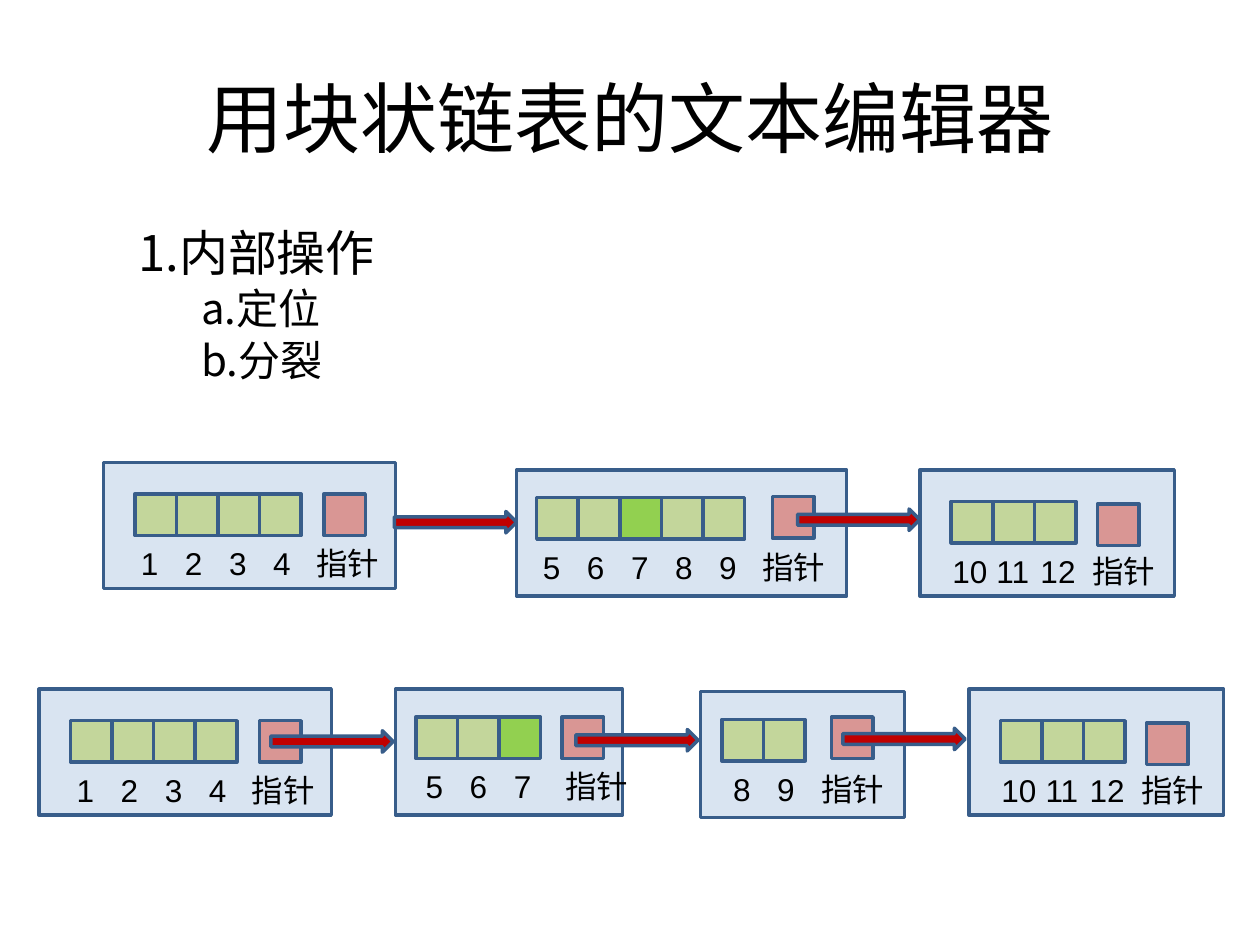
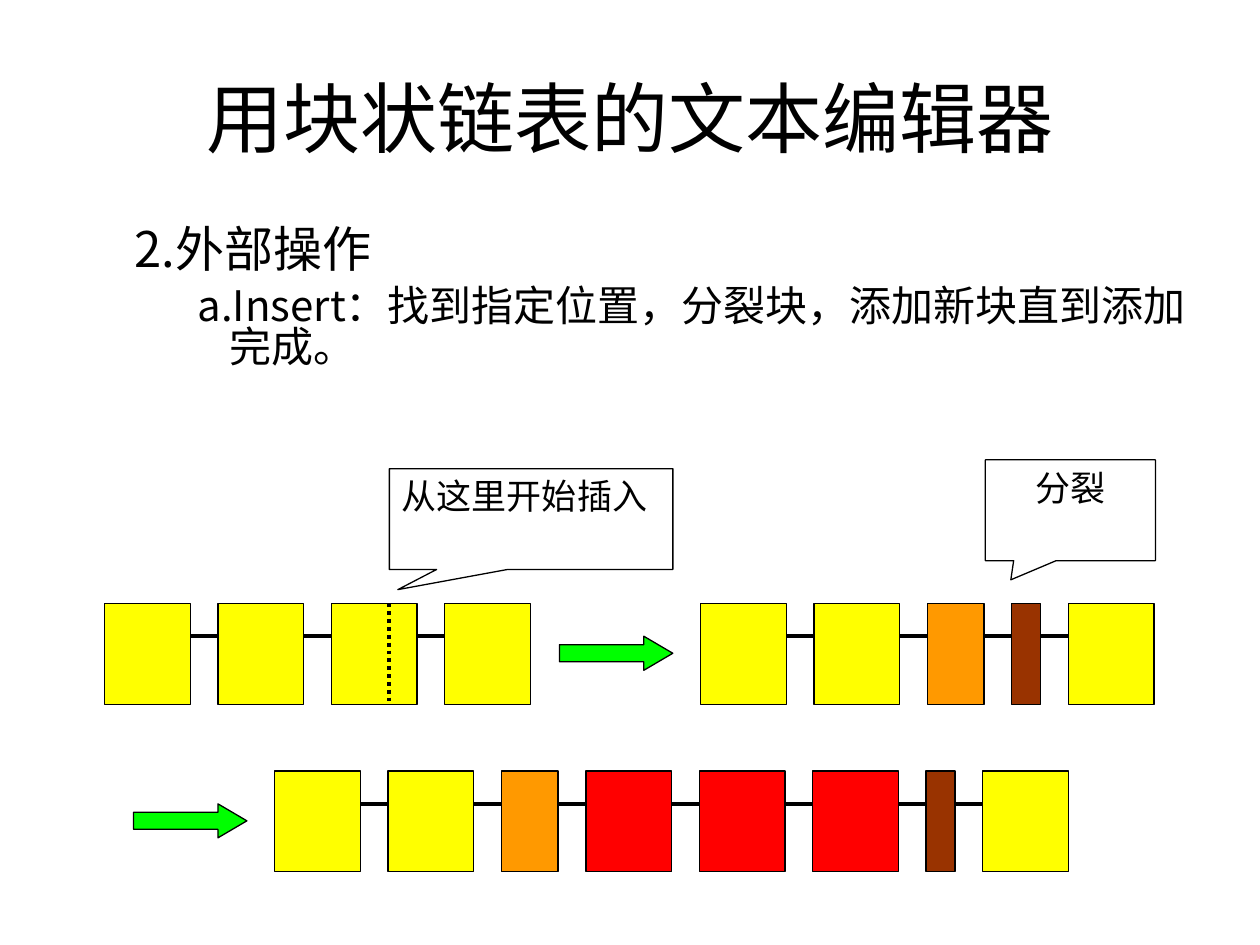
from dataclasses import dataclass, replace

from lxml import etree
from pptx import Presentation
from pptx.dml.color import RGBColor
from pptx.enum.dml import MSO_LINE
from pptx.enum.shapes import MSO_CONNECTOR, MSO_SHAPE as SHAPE
from pptx.enum.text import MSO_ANCHOR as ANCHOR, PP_ALIGN as ALIGN
from pptx.oxml.ns import qn
from pptx.util import Inches, Pt

BLACK = RGBColor(0x00, 0x00, 0x00)
WHITE = RGBColor(0xFF, 0xFF, 0xFF)
NODE_BLUE = RGBColor(0x4F, 0x81, 0xBD)
OUTLINE = RGBColor(0x38, 0x5D, 0x8A)
CELL_GREEN = RGBColor(0xC3, 0xD6, 0x9B)
MARK_GREEN = RGBColor(0x92, 0xD0, 0x50)
POINTER_PINK = RGBColor(0xD9, 0x96, 0x94)
LINK_RED = RGBColor(0xC0, 0x00, 0x00)
YELLOW = RGBColor(0xFF, 0xFF, 0x00)
ORANGE = RGBColor(0xFF, 0x99, 0x00)
BROWN = RGBColor(0x99, 0x33, 0x00)
RED = RGBColor(0xFF, 0x00, 0x00)
GREEN = RGBColor(0x00, 0xFF, 0x00)

CJK_FONT = "Noto Sans CJK JP"
TITLE = "用块状链表的文本编辑器"

CELL = 0.33
NODE_H = 1.0
LABEL_STEP = 0.35

BLOCK_H = 0.8
BLOCK_GAP = 0.22
CHAIN_DY = 0.26
FULL, LEFT_PART, RIGHT_PART = 0.68, 0.45, 0.23


@dataclass
class Node:
    """One list node; the pairs are offsets from its top left corner."""
    left: float
    top: float
    width: float
    values: tuple
    cells: tuple
    pointer: tuple
    label: tuple
    pointer_tab: float
    marked: str = ""


HEAD = Node(0.82, 3.67, 2.32, ("1", "2", "3", "4"),
            (0.25, 0.25), (1.75, 0.25), (0.2, 0.6), 1.39)
WHOLE = Node(4.1, 3.73, 2.62, ("5", "6", "7", "8", "9"),
             (0.16, 0.22), (2.03, 0.21), (0.11, 0.57), 1.74, "7")
TAIL = Node(7.3, 3.73, 2.02, ("10", "11", "12"),
            (0.25, 0.25), (1.41, 0.27), (0.16, 0.6), 1.11)
FRONT_HALF = Node(3.14, 5.47, 1.8, ("5", "6", "7"),
                  (0.16, 0.22), (1.32, 0.22), (0.14, 0.57), 1.11, "7")
BACK_HALF = Node(5.56, 5.49, 1.62, ("8", "9"),
                 (0.17, 0.22), (1.04, 0.2), (0.16, 0.57), 0.7)


def add_run(p, text, size, font=CJK_FONT):
    r = p.add_run()
    r.text = text
    r.font.size = Pt(size)
    r.font.name = font
    r.font.color.rgb = BLACK
    east_asian = etree.SubElement(r.font._element, qn("a:ea"))
    east_asian.set("typeface", CJK_FONT)


def add_box(slide, left, top, width, height, fill, line=BLACK, weight=0.75,
            kind=SHAPE.RECTANGLE):
    sp = slide.shapes.add_shape(kind, Inches(left), Inches(top),
                                Inches(width), Inches(height))
    sp.shadow.inherit = False
    sp.fill.solid()
    sp.fill.fore_color.rgb = fill
    sp.line.color.rgb = line
    sp.line.width = Pt(weight)
    return sp


def add_arrow(slide, left, top, width, height, head, *style):
    sp = add_box(slide, left, top, width, height, *style,
                 kind=SHAPE.RIGHT_ARROW)
    sp.adjustments[1] = head


def add_line(slide, x1, y1, x2, y2):
    line = slide.shapes.add_connector(MSO_CONNECTOR.STRAIGHT, Inches(x1),
                                      Inches(y1), Inches(x2), Inches(y2))
    line.line.color.rgb = BLACK
    line.line.width = Pt(2.25)
    etree.SubElement(line._element.spPr, qn("a:effectLst"))
    return line


def add_text_box(slide, left, top, width, height, wrap=True):
    box = slide.shapes.add_textbox(Inches(left), Inches(top),
                                   Inches(width), Inches(height))
    box.text_frame.word_wrap = wrap
    return box.text_frame


def add_titled_slide(prs):
    slide = prs.slides.add_slide(prs.slide_layouts[5])
    title = slide.shapes.title
    title.left, title.top = Inches(0.5), Inches(0.3)
    title.width, title.height = Inches(9), Inches(1.25)
    tf = title.text_frame
    tf.vertical_anchor = ANCHOR.MIDDLE
    p = tf.paragraphs[0]
    p.alignment = ALIGN.CENTER
    add_run(p, TITLE, 44)
    return slide


def add_outline(slide, left, top, width, height, heading, items):
    """A heading with indented items below it."""
    tf = add_text_box(slide, left, top, width, height)
    for i, text in enumerate([heading, *items]):
        p = tf.paragraphs[0] if i == 0 else tf.add_paragraph()
        margin, hanging, size = (1.25, 0.25, 24) if i else (0.81, 0.31, 28)
        p.level = 2 if i else 1
        pPr = p._p.get_or_add_pPr()
        pPr.set("marL", str(Inches(margin)))
        pPr.set("indent", str(-Inches(hanging)))
        p.line_spacing = 0.82
        if i:
            p.space_before = Pt(6)
        add_run(p, text, size)


def add_node_label(slide, node):
    tf = add_text_box(slide, node.left + node.label[0],
                      node.top + node.label[1], node.pointer_tab + 0.75, 0.4,
                      wrap=False)
    p = tf.paragraphs[0]
    tabs = etree.SubElement(p._p.get_or_add_pPr(), qn("a:tabLst"))
    stops = [i * LABEL_STEP for i in range(1, len(node.values))]
    for stop in [*stops, node.pointer_tab]:
        etree.SubElement(tabs, qn("a:tab"), pos=str(Inches(stop)), algn="l")
    add_run(p, "\t".join([*node.values, "指针"]), 18, "Arial")


def add_node(slide, node):
    frame = add_box(slide, node.left, node.top, node.width, NODE_H,
                    NODE_BLUE, OUTLINE, 2)
    color = frame.fill._xPr.find(qn("a:solidFill"))[0]
    etree.SubElement(color, qn("a:alpha"), val="21000")
    for i, value in enumerate(node.values):
        fill = MARK_GREEN if value == node.marked else CELL_GREEN
        add_box(slide, node.left + node.cells[0] + i * CELL,
                node.top + node.cells[1], CELL, CELL, fill, OUTLINE, 2)
    add_box(slide, node.left + node.pointer[0], node.top + node.pointer[1],
            CELL, CELL, POINTER_PINK, OUTLINE, 2)
    add_node_label(slide, node)


def add_chain(slide, left, top, blocks):
    """Blocks of (width, fill) in a row, each joined to the next."""
    for i, (width, fill) in enumerate(blocks):
        if i:
            y = top + CHAIN_DY
            add_line(slide, left - BLOCK_GAP, y, left, y)
        add_box(slide, left, top, width, BLOCK_H, fill)
        left += width + BLOCK_GAP


def add_callout(slide, left, top, width, tip, text, align):
    sp = add_box(slide, left, top, width, BLOCK_H, WHITE,
                 kind=SHAPE.RECTANGULAR_CALLOUT)
    sp.adjustments[0], sp.adjustments[1] = tip
    tf = sp.text_frame
    tf.word_wrap = True
    tf.vertical_anchor = ANCHOR.TOP
    p = tf.paragraphs[0]
    p.alignment = align
    add_run(p, text, 20, "Times New Roman")


def build_internal_slide(prs):
    slide = add_titled_slide(prs)
    add_outline(slide, 0.5, 1.8, 8.17, 1.64, "1.内部操作",
                ["a.定位", "b.分裂"])
    before = [HEAD, WHOLE, TAIL]
    after = [replace(HEAD, left=0.31, top=5.47), FRONT_HALF, BACK_HALF,
             replace(TAIL, left=7.69, top=5.47)]
    for node in before + after:
        add_node(slide, node)
    for left, top in [(3.13, 4.06), (6.33, 4.04),
                      (2.15, 5.8), (4.57, 5.79), (6.69, 5.78)]:
        add_arrow(slide, left, top, 0.97, 0.17, 0.5, LINK_RED, OUTLINE, 2)


def build_external_slide(prs):
    slide = add_titled_slide(prs)
    add_outline(slide, 0.47, 1.77, 9.11, 1.51, "2.外部操作",
                ["a.Insert：找到指定位置，分裂块，添加新块直到添加完成。"])
    whole, added = (FULL, YELLOW), (FULL, RED)
    front, back = (LEFT_PART, ORANGE), (RIGHT_PART, BROWN)
    add_chain(slide, 0.83, 4.79, [whole] * 4)
    add_chain(slide, 5.56, 4.79, [whole, whole, front, back, whole])
    add_chain(slide, 2.18, 6.12,
              [whole, whole, front, added, added, added, back, whole])
    split = add_line(slide, 3.09, 4.79, 3.09, 4.79 + BLOCK_H)
    split.line.dash_style = MSO_LINE.ROUND_DOT
    for left, top in [(4.44, 5.05), (1.06, 6.38)]:
        add_arrow(slide, left, top, 0.9, 0.27, 0.85, GREEN)
    add_callout(slide, 3.09, 3.72, 2.25, (-0.47, 0.7), "从这里开始插入",
                ALIGN.JUSTIFY)
    add_callout(slide, 7.82, 3.65, 1.35, (-0.35, 0.69), "分裂", ALIGN.CENTER)


def main():
    prs = Presentation()
    prs.slide_width, prs.slide_height = Inches(10), Inches(7.5)
    build_internal_slide(prs)
    build_external_slide(prs)
    prs.save("out.pptx")


if __name__ == "__main__":
    main()
